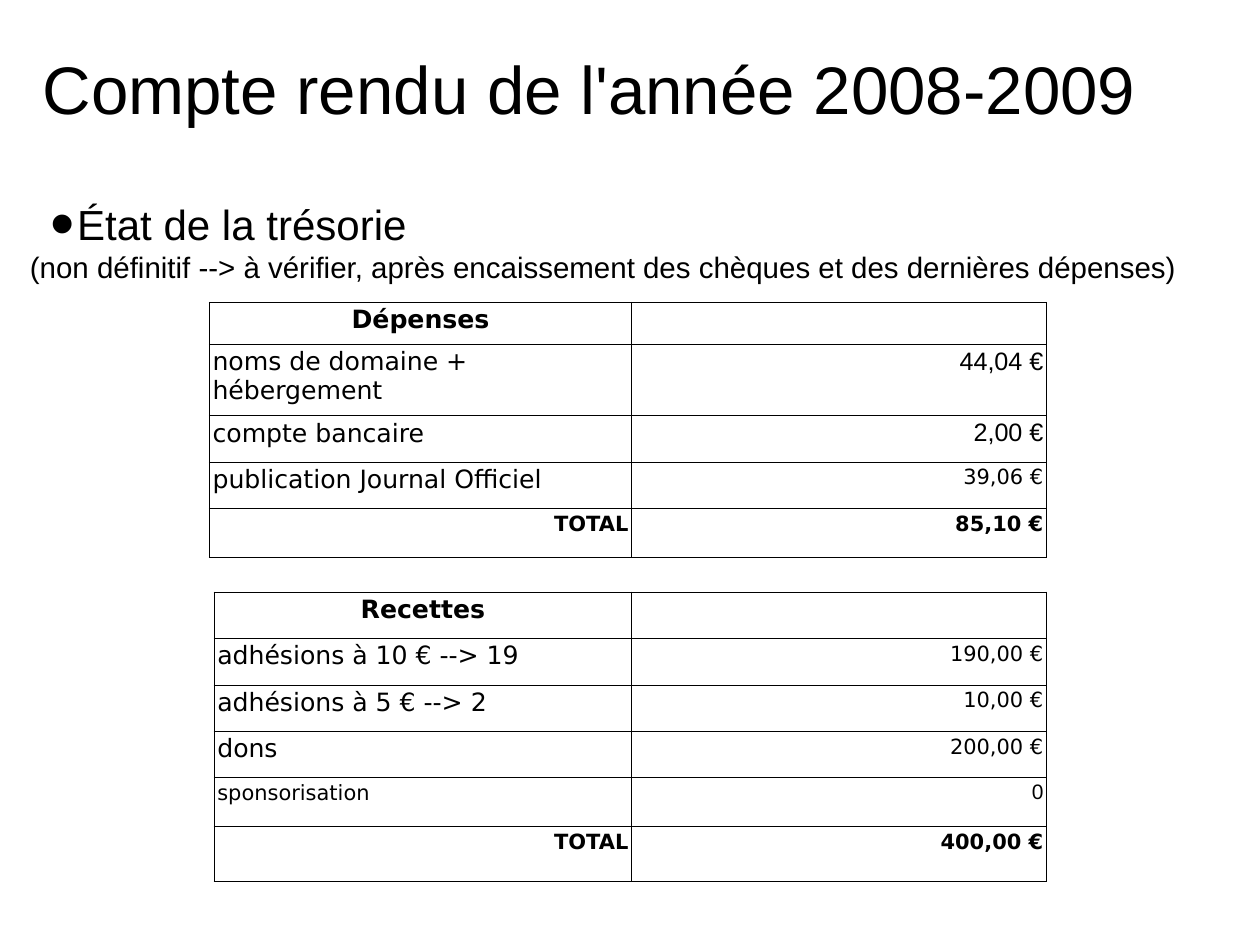
from lxml import etree
from pptx import Presentation
from pptx import util as u
from pptx.dml.color import RGBColor
from pptx.enum import text
from pptx.oxml import ns

Pt = u.Pt
COLORS = {"ink": "000000", "paper": "FFFFFF"}
SANS, TABLE_FONT = "Arial", "DejaVu Sans"
LARGE, SMALL = 16, 13.3
LEFT, CENTER, RIGHT = text.PP_ALIGN.LEFT, text.PP_ALIGN.CENTER, text.PP_ALIGN.RIGHT
DIVIDER, TABLE_RIGHT = 401, 664.5

HEADING = dict(font=TABLE_FONT, size=LARGE, bold=True, align=CENTER)
LABEL = dict(font=TABLE_FONT, size=LARGE)
SMALL_LABEL = dict(font=TABLE_FONT, size=SMALL)
AMOUNT = dict(font=SANS, size=LARGE, align=RIGHT)
SMALL_AMOUNT = dict(font=TABLE_FONT, size=SMALL, align=RIGHT)
ZERO = dict(font=SANS, size=SMALL, align=RIGHT)
TOTAL = dict(font=TABLE_FONT, size=SMALL, bold=True, align=RIGHT)

# Each row: height, label, label format, amount, amount format
EXPENSES = [
    (26.6, "Dépenses", HEADING, "", {}),
    (45.4, "noms de domaine + hébergement", LABEL, "44,04 €", AMOUNT),
    (29.5, "compte bancaire", LABEL, "2,00 €", AMOUNT),
    (29.5, "publication Journal Officiel", LABEL, "39,06 €", SMALL_AMOUNT),
    (31, "TOTAL", TOTAL, "85,10 €", TOTAL),
]
INCOME = [
    (29.5, "Recettes", HEADING, "", {}),
    (29.5, "adhésions à 10 € --> 19", LABEL, "190,00 €", SMALL_AMOUNT),
    (29.5, "adhésions à 5 € --> 2", LABEL, "10,00 €", SMALL_AMOUNT),
    (29.5, "dons", LABEL, "200,00 €", SMALL_AMOUNT),
    (31, "sponsorisation", SMALL_LABEL, "0", ZERO),
    (34.6, "TOTAL", TOTAL, "400,00 €", TOTAL),
]


def add_element(parent, tag, **attributes):
    return etree.SubElement(parent, ns.qn(tag), attributes)


def write(paragraph, words, font=SANS, size=LARGE, bold=False, align=LEFT, color="ink"):
    paragraph.alignment = align
    if not words:
        return
    run = paragraph.add_run()
    run.text = words
    run.font.name = font
    run.font.size = Pt(size)
    run.font.bold = bold
    run.font.color.rgb = RGBColor.from_string(COLORS[color])


def add_bullet(paragraph, margin, hanging, percent):
    properties = paragraph._p.get_or_add_pPr()
    properties.set("marL", str(Pt(margin)))
    properties.set("indent", str(Pt(-hanging)))
    color = add_element(properties, "a:buClr")
    add_element(color, "a:srgbClr", val=COLORS["ink"])
    add_element(properties, "a:buSzPct", val=str(percent * 1000))
    add_element(properties, "a:buFont", typeface=SANS)
    add_element(properties, "a:buChar", char="•")


def add_borders(cell, width=0.75):
    properties = cell._tc.get_or_add_tcPr()
    for position, side in enumerate(("a:lnL", "a:lnR", "a:lnT", "a:lnB")):
        line = etree.Element(ns.qn(side), w=str(Pt(width)))
        fill = add_element(line, "a:solidFill")
        add_element(fill, "a:srgbClr", val=COLORS["ink"])
        properties.insert(position, line)


class ReportSlide:
    def __init__(self, presentation):
        self.slide = presentation.slides.add_slide(presentation.slide_layouts[6])
        background = self.slide.background.fill
        background.solid()
        background.fore_color.rgb = RGBColor.from_string(COLORS["paper"])

    def text_box(self, left, top, width, height, lines):
        """Add a text box with one paragraph per (words, format) pair."""
        shape = self.slide.shapes.add_textbox(Pt(left), Pt(top), Pt(width), Pt(height))
        frame = shape.text_frame
        frame.word_wrap = True
        frame.margin_left = frame.margin_right = frame.margin_bottom = Pt(3)
        frame.margin_top = Pt(6)
        for index, (words, style) in enumerate(lines):
            paragraph = frame.add_paragraph() if index else frame.paragraphs[0]
            write(paragraph, words, **style)
        return frame

    def account_table(self, left, top, rows):
        height = sum(row[0] for row in rows)
        table = self.slide.shapes.add_table(
            len(rows), 2, Pt(left), Pt(top), Pt(TABLE_RIGHT - left), Pt(height)).table
        table.first_row = table.horz_banding = False
        table.columns[0].width = Pt(DIVIDER - left)
        table.columns[1].width = Pt(TABLE_RIGHT - DIVIDER)
        for index, (row_height, label, label_style, amount, amount_style) in enumerate(rows):
            table.rows[index].height = Pt(row_height)
            self.table_cell(table.cell(index, 0), label, label_style)
            self.table_cell(table.cell(index, 1), amount, amount_style)

    def table_cell(self, cell, words, style):
        cell.margin_left = cell.margin_right = Pt(2)
        cell.margin_top = cell.margin_bottom = Pt(2)
        cell.fill.background()
        add_borders(cell)
        write(cell.text_frame.paragraphs[0], words, **style)


def main():
    presentation = Presentation()
    presentation.slide_width, presentation.slide_height = Pt(800), Pt(600)
    report = ReportSlide(presentation)
    report.text_box(24, 24, 758, 78, [("Compte rendu de l'année 2008-2009", dict(size=42.7))])
    body = report.text_box(16, 120, 765, 462, [
        ("État de la trésorie", dict(size=26.7)),
        ("(non définitif --> à vérifier, après encaissement des chèques"
         " et des dernières dépenses)", dict(size=18.7)),
    ])
    add_bullet(body.paragraphs[0], margin=30, hanging=17, percent=165)
    report.account_table(133, 192, EXPENSES)
    report.account_table(136, 376, INCOME)
    presentation.save("out.pptx")


if __name__ == "__main__":
    main()
